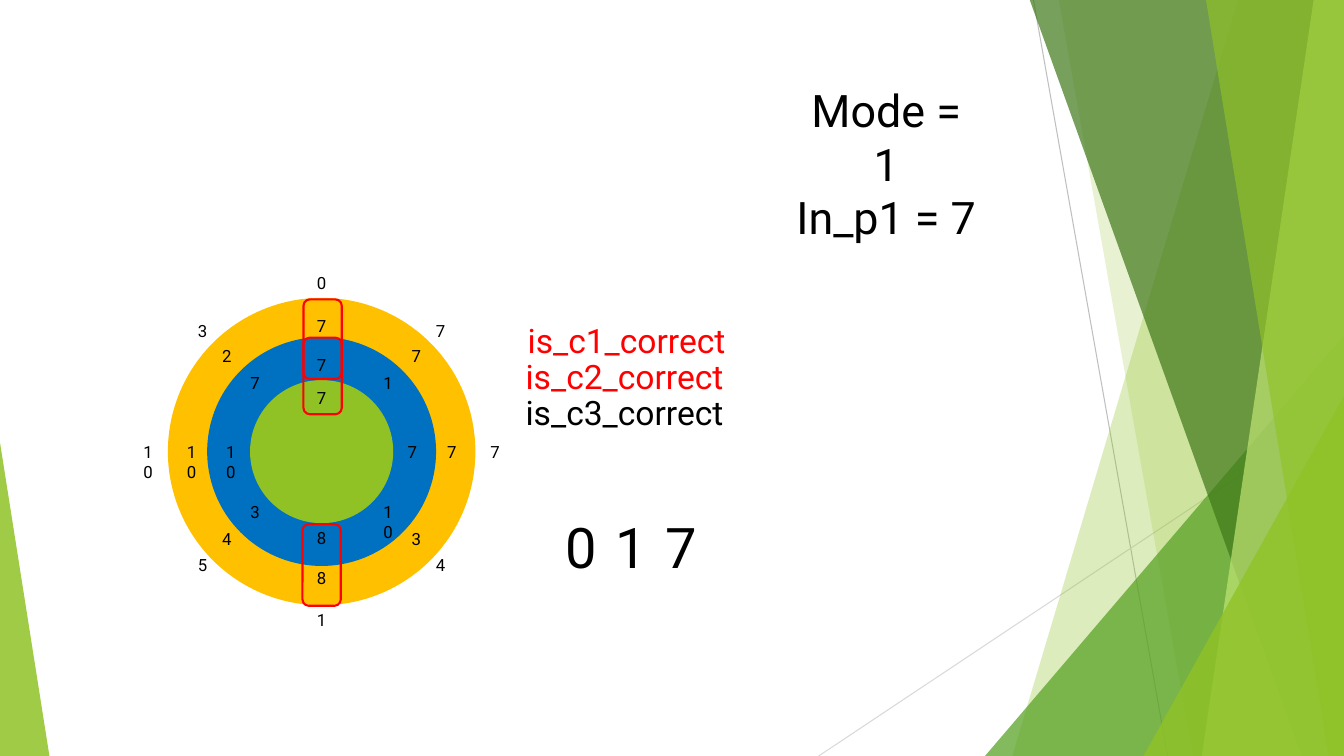
from lxml import etree
from pptx import Presentation, util as u
from pptx.dml.color import RGBColor
from pptx.enum import shapes, text
from pptx.oxml.ns import qn

WIDTH, HEIGHT = 13.33, 7.5
LABEL = 0.38
CENTRE_LEFT, CENTRE_TOP, DIAGONAL_TOP = 3, 4.33, 4.29
LIME, RED, BLACK = "90C226", "FF0000", "000000"


def colour(value):
    """Turn a hex string into a colour."""
    return RGBColor.from_string(value)


def box(values):
    """Turn left, top, width and height in inches into lengths."""
    return [u.Inches(value) for value in values]


def paint(shape, fill=None, opacity=100, outline=None):
    """Set the fill, its opacity and the outline of a shape."""
    shape.shadow.inherit = False
    if fill:
        shape.fill.solid()
        shape.fill.fore_color.rgb = colour(fill)
        if opacity < 100:
            tint = shape.fill._xPr.find(qn("a:solidFill"))[0]
            etree.SubElement(tint, qn("a:alpha"), val=str(opacity * 1000))
    else:
        shape.fill.background()
    if outline:
        shape.line.color.rgb = colour(outline)
        shape.line.width = u.Pt(1.5)
    else:
        shape.line.fill.background()


def add_text(slide, words, area, size=12, ink=BLACK, centred=True, wrap=True):
    """Write one paragraph for each line of the words."""
    label = slide.shapes.add_textbox(*box(area))
    frame = label.text_frame
    frame.word_wrap = wrap
    frame.auto_size = text.MSO_AUTO_SIZE.SHAPE_TO_FIT_TEXT
    frame.text = words
    for paragraph in frame.paragraphs:
        paragraph.alignment = text.PP_ALIGN.CENTER if centred else text.PP_ALIGN.LEFT
        paragraph.font.size = u.Pt(size)
        paragraph.font.name = "Roboto"
        paragraph.font.color.rgb = colour(ink)


def add_preset(slide, kind, area, **look):
    """Add a painted preset shape."""
    shape = slide.shapes.add_shape(kind, *box(area))
    paint(shape, **look)
    return shape


def add_ray(slide, start, end, ink):
    """Draw a thin straight line of the backdrop."""
    ray = slide.shapes.add_connector(
        shapes.MSO_CONNECTOR.STRAIGHT, *box(start + end))
    ray.line.color.rgb = colour(ink)
    ray.line.width = u.Pt(0.75)
    etree.SubElement(ray._element.spPr, qn("a:effectLst"))


def add_facet(slide, top_left, bottom_left, fill, opacity):
    """Draw a translucent facet that reaches the right edge."""
    corners = [(top_left, -0.01), (WIDTH, -0.01), (WIDTH, HEIGHT), (bottom_left, HEIGHT)]
    points = [(u.Inches(x), u.Inches(y)) for x, y in corners]
    builder = slide.shapes.build_freeform(*points[0])
    builder.add_line_segments(points[1:])
    paint(builder.convert_to_shape(), fill, opacity)


def add_wedge(slide, left, top, width, apex, fill, opacity):
    """Draw a right triangle that stands on the bottom edge."""
    wedge = add_preset(slide, shapes.MSO_SHAPE.ISOSCELES_TRIANGLE,
                       (left, top, width, HEIGHT - top), fill=fill, opacity=opacity)
    wedge.adjustments[0] = apex


def add_backdrop(slide):
    """Draw the rays, facets and wedges behind the content."""
    add_ray(slide, (10.25, 0), (11.58, HEIGHT), "BFBFBF")
    add_ray(slide, (WIDTH, 4.03), (8.12, HEIGHT), "D9D9D9")
    add_facet(slide, 12.28, 10.04, LIME, 30)
    add_facet(slide, 10.5, 11.83, LIME, 20)
    add_wedge(slide, 9.77, 3.33, 3.56, 1, "54A021", 72)
    add_facet(slide, 10.21, 12.91, "3F7819", 70)
    add_facet(slide, 13.03, 11.92, "C0E474", 70)
    add_facet(slide, 11.96, 13.18, LIME, 65)
    add_wedge(slide, 11.34, 3.93, 1.99, 1, LIME, 80)
    add_wedge(slide, 0, 4.39, 0.49, 0, LIME, 85)


def add_ring_numbers(slide, numbers, across, down, diagonal_x, diagonal_y):
    """Place eight numbers clockwise from the top of a ring."""
    offsets = [(0, -down), (diagonal_x, -diagonal_y), (across, 0), (diagonal_x, diagonal_y),
               (0, down), (-diagonal_x, diagonal_y), (-across, 0), (-diagonal_x, -diagonal_y)]
    for number, (x, y) in zip(numbers.split(), offsets):
        middle = DIAGONAL_TOP if x and y else CENTRE_TOP
        add_text(slide, number, (CENTRE_LEFT + x, middle + y, LABEL, 0.3))


def add_dial(slide):
    """Draw the three discs, their numbers and the red frames."""
    for diameter, fill in ((3.05, "FFC000"), (2.27, "0070C0"), (1.42, LIME)):
        add_preset(slide, shapes.MSO_SHAPE.OVAL,
                   (3.19 - diameter / 2, 4.48 - diameter / 2, diameter, diameter), fill=fill)
    add_ring_numbers(slide, "7 1 7 10 8 3 10 7", 0.9, 0.86, 0.66, 0.64)
    add_ring_numbers(slide, "7 7 7 3 8 4 10 2", 1.29, 1.25, 0.94, 0.91)
    add_ring_numbers(slide, "0 7 7 4 1 5 10 3", 1.72, 1.67, 1.18, 1.16)
    add_text(slide, "7", (CENTRE_LEFT, 3.8, LABEL, 0.3))
    for left, top, height in ((3.01, 2.97, 0.79), (3, 5.2, 0.81), (3.01, 3.35, 0.76)):
        add_preset(slide, shapes.MSO_SHAPE.ROUNDED_RECTANGLE,
                   (left, top, LABEL, height), outline=RED)


def main():
    """Build and save the slide."""
    deck = Presentation()
    deck.slide_width, deck.slide_height = u.Inches(WIDTH), u.Inches(HEIGHT)
    slide = deck.slides.add_slide(deck.slide_layouts[6])
    add_backdrop(slide)
    add_dial(slide)
    for place, digit in enumerate("017"):
        add_text(slide, digit, (5.51 + place * 0.495, 5.04, 0.5, 0.77),
                 size=40, centred=False, wrap=False)
    add_text(slide, "Mode = 1\nIn_p1 = 7", (7.78, 0.77, 2.02, 1.18), size=32)
    checks = (("is_c1_correct", 5.1, RED), ("is_c2_correct", 5.08, RED),
              ("is_c3_correct", 5.08, BLACK))
    for row, (check, left, ink) in enumerate(checks):
        add_text(slide, check, (left, 3.12 + row * 0.36, 2.23, 0.5),
                 size=24, ink=ink, wrap=False)
    deck.save("out.pptx")


main()
